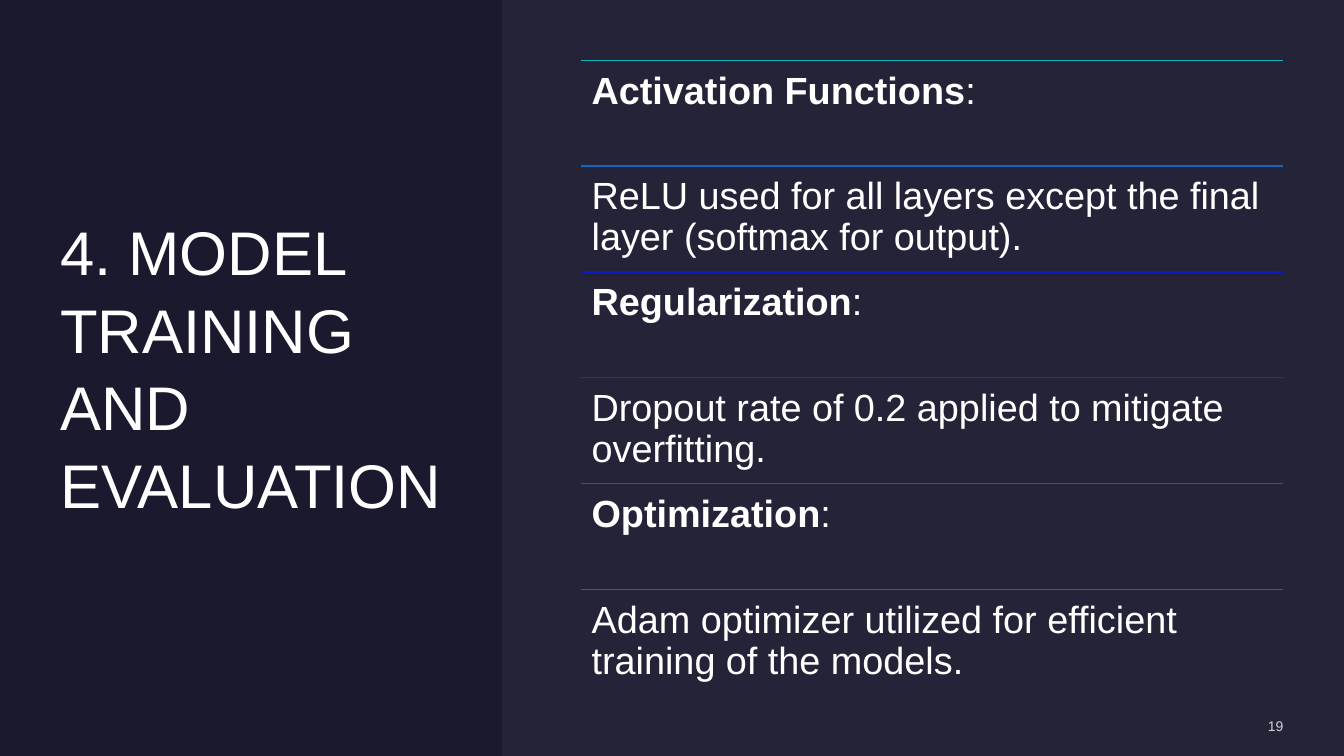
from lxml.etree import SubElement
from pptx import Presentation
from pptx.dml.color import RGBColor
from pptx.enum.shapes import MSO_CONNECTOR as Link, MSO_SHAPE as Shape
from pptx.enum.text import MSO_ANCHOR as Anchor, PP_ALIGN as Align
from pptx.oxml.ns import qn
from pptx.util import Cm, Pt

WHITE = "FFFFFF"
ROWS = [
    ("12B1BF", "Activation Functions", ":"),
    ("1068C3", "", "ReLU used for all layers except the final layer (softmax for output)."),
    ("0F1BC7", "Regularization", ":"),
    ("520DCB", "", "Dropout rate of 0.2 applied to mitigate overfitting."),
    ("A70CD0", "Optimization", ":"),
    ("D40AA8", "", "Adam optimizer utilized for efficient training of the models."),
]


def paint(fill, color, alpha=100):
    """Fill with a solid hex colour at a percentage of opacity."""
    fill.solid()
    fill.fore_color.rgb = RGBColor.from_string(color)
    if alpha < 100:
        tint = fill._xPr.find(qn("a:solidFill"))[0]
        SubElement(tint, qn("a:alpha")).set("val", str(alpha * 1000))


def write(slide, box, parts, size, inset=0, anchor=Anchor.TOP, alpha=100):
    """Place a text box of (text, bold) parts and return its paragraph."""
    frame = slide.shapes.add_textbox(*map(Cm, box)).text_frame
    frame.word_wrap = True
    frame.vertical_anchor = anchor
    frame.margin_left = frame.margin_right = Cm(inset)
    frame.margin_top = frame.margin_bottom = Cm(inset)
    para = frame.paragraphs[0]
    for text, bold in parts:
        run = para.add_run()
        run.text = text
        run.font.name = "Arial"
        run.font.size = Pt(size)
        run.font.bold = bold
        paint(run.font.fill, WHITE, alpha)
    return para


def add_title(slide, box):
    """Write the slide heading, centred vertically in its box."""
    para = write(slide, box, [("4. MODEL TRAINING AND EVALUATION", False)],
                 44, anchor=Anchor.MIDDLE)
    para.line_spacing = 1.05


def add_panel(slide, box):
    """Lay a faint light panel over the background."""
    panel = slide.shapes.add_shape(Shape.RECTANGLE, *map(Cm, box))
    panel.shadow.inherit = False
    panel.line.fill.background()
    paint(panel.fill, "E4E3F0", 5)


def add_list(slide, box):
    """Stack the rows evenly, each under a coloured rule."""
    left, top, width, height = box
    step = height / len(ROWS)
    for i, (color, head, body) in enumerate(ROWS):
        y = top + i * step
        rule = slide.shapes.add_connector(
            Link.STRAIGHT, Cm(left), Cm(y), Cm(left + width), Cm(y))
        rule.line.width = Pt(1)
        paint(rule.line.fill, color)
        SubElement(rule._element.spPr, qn("a:effectLst"))
        parts = [(text, bold) for text, bold in ((head, True), (body, False)) if text]
        para = write(slide, (left, y, width, step), parts, 27, inset=0.28)
        para.line_spacing = 0.9


def add_number(slide, box):
    """Write the page number at the right of its box."""
    para = write(slide, box, [("19", False)], 10, anchor=Anchor.MIDDLE, alpha=80)
    para.alignment = Align.RIGHT


def main():
    """Build the slide and save it."""
    deck = Presentation()
    deck.slide_width, deck.slide_height = Cm(33.87), Cm(19.05)
    slide = deck.slides.add_slide(deck.slide_layouts[6])
    paint(slide.background.fill, "1B192E")
    add_title(slide, (1.52, 1.52, 9.91, 15.39))
    add_panel(slide, (12.65, 0, 21.22, 19.05))
    add_list(slide, (14.63, 1.52, 17.7, 16))
    add_number(slide, (27.64, 18.08, 4.7, 0.43))
    deck.save("out.pptx")


if __name__ == "__main__":
    main()
